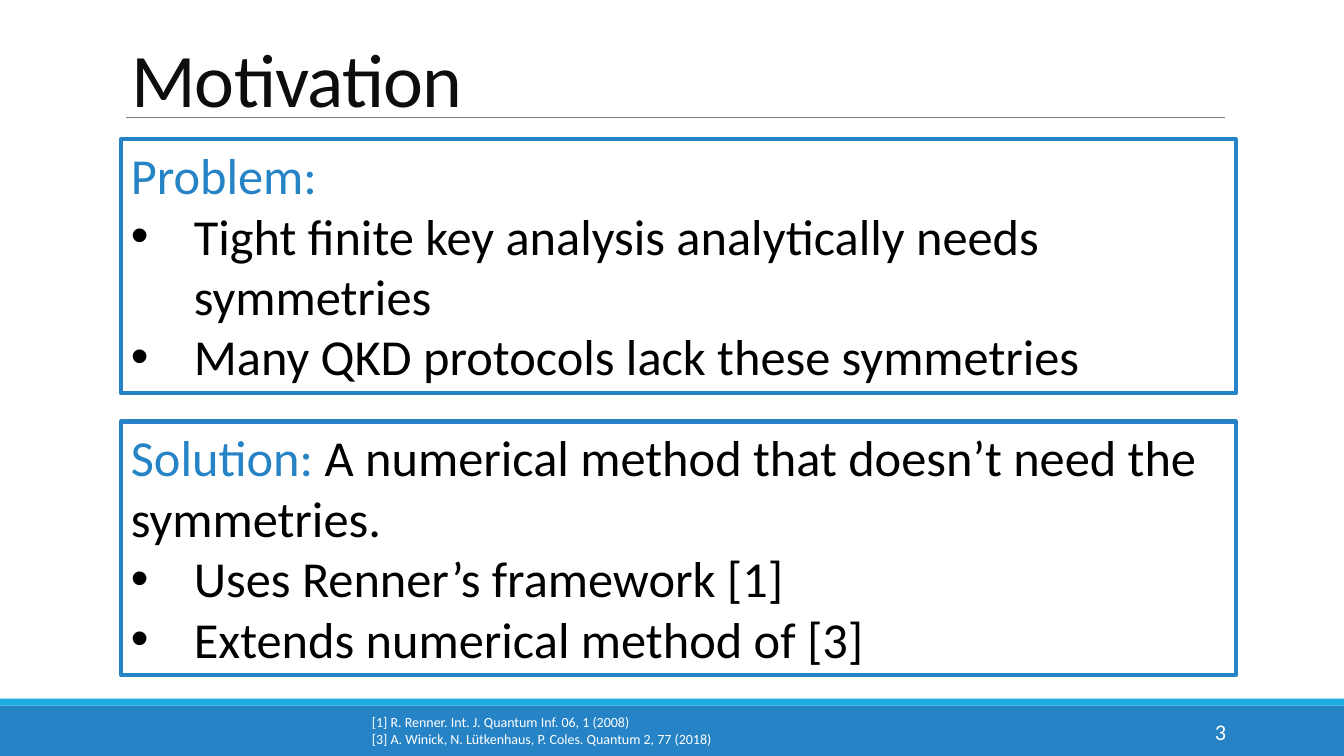
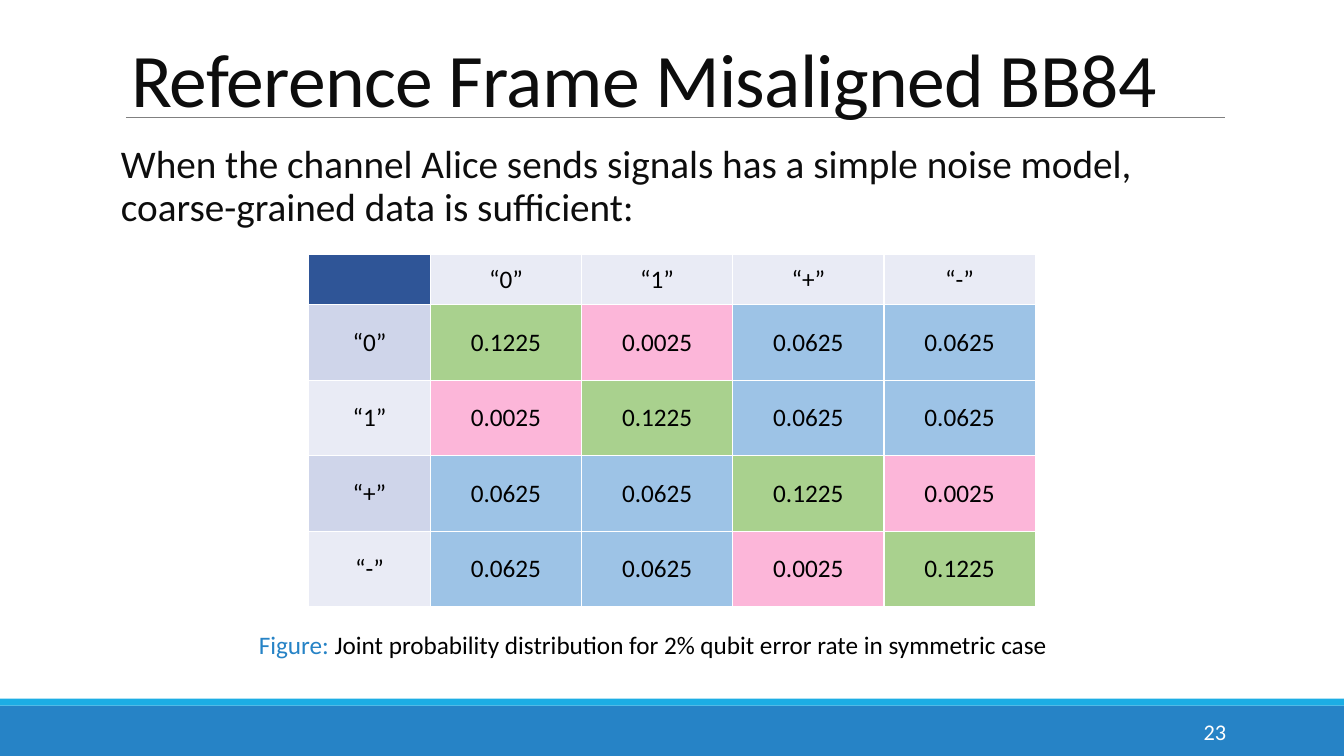
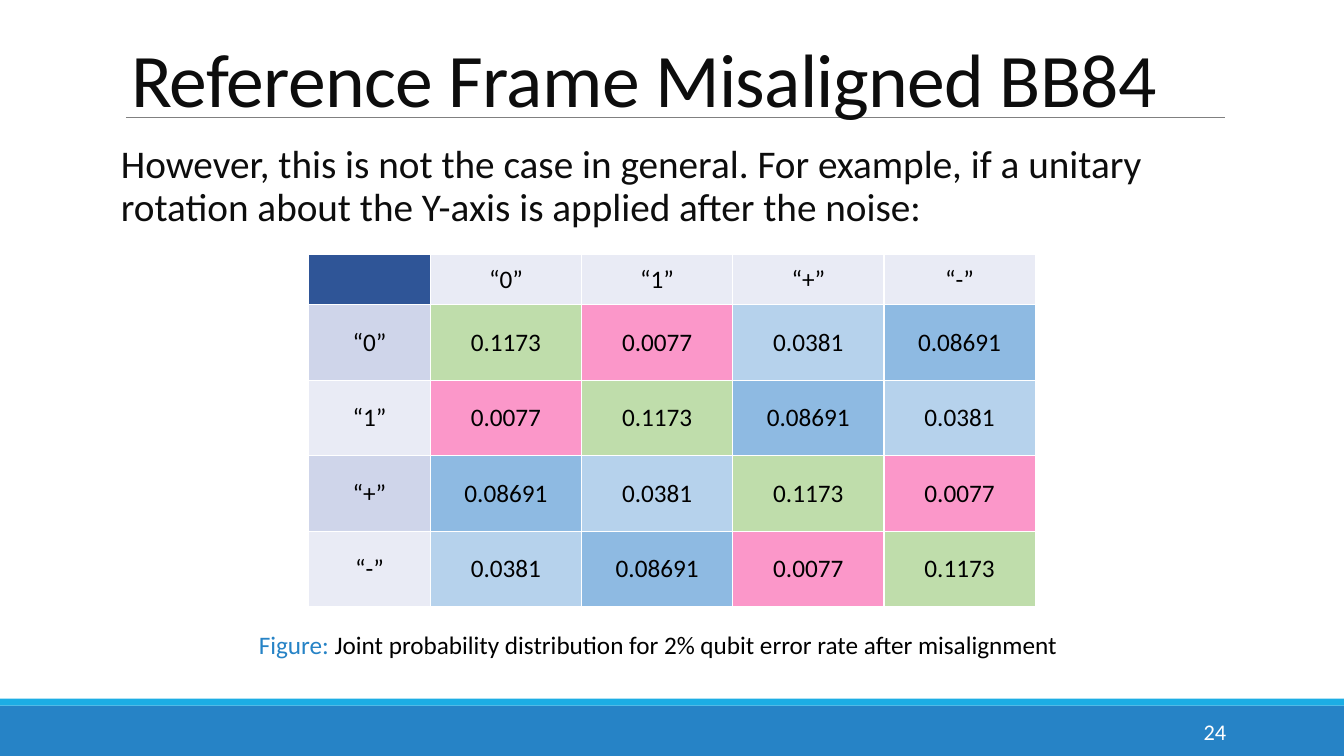
from lxml.etree import SubElement
from pptx import Presentation
from pptx.dml.color import RGBColor
from pptx.enum.shapes import MSO_CONNECTOR, MSO_SHAPE
from pptx.enum.text import MSO_ANCHOR, MSO_AUTO_SIZE, PP_ALIGN
from pptx.oxml import parse_xml
from pptx.oxml.ns import nsdecls, qn
from pptx.util import Pt

FONT = "Calibri"
BLUE = RGBColor(0x26, 0x83, 0xC6)
CYAN = RGBColor(0x1C, 0xAD, 0xE4)
GRAY = RGBColor(0x80, 0x80, 0x80)
INK = RGBColor(0x0D, 0x0D, 0x0D)
BLACK = RGBColor(0x00, 0x00, 0x00)
WHITE = RGBColor(0xFF, 0xFF, 0xFF)
CORNER = RGBColor(0x2F, 0x55, 0x97)
LABEL_LIGHT = RGBColor(0xE9, 0xEB, 0xF5)
LABEL_DARK = RGBColor(0xCF, 0xD5, 0xEA)
TINTS = {
    "0.1225": RGBColor(0xA9, 0xD1, 0x8E),
    "0.0025": RGBColor(0xFC, 0xB6, 0xD9),
    "0.0625": RGBColor(0x9D, 0xC3, 0xE6),
    "0.1173": RGBColor(0xBF, 0xDD, 0xAB),
    "0.0077": RGBColor(0xFB, 0x97, 0xC9),
    "0.0381": RGBColor(0xB6, 0xD2, 0xEC),
    "0.08691": RGBColor(0x8E, 0xBA, 0xE2),
}

LEFT = 86.4
STATES = ["“0”", "“1”", "“+”", "“-”"]
TITLE_PARA = {"alignment": PP_ALIGN.LEFT, "line_spacing": 0.85}
BODY_PARA = {"alignment": PP_ALIGN.LEFT, "line_spacing": 0.9,
             "space_before": Pt(0), "space_after": Pt(2)}
BODY_FRAME = {"margin_left": 0, "margin_right": 0, "word_wrap": True,
              "auto_size": MSO_AUTO_SIZE.NONE, "vertical_anchor": MSO_ANCHOR.TOP}
TITLE_FRAME = {"word_wrap": True, "auto_size": MSO_AUTO_SIZE.NONE,
               "vertical_anchor": MSO_ANCHOR.BOTTOM}


def add_spans(para, size, spans, **layout):
    """Write (text, colour) spans and set the paragraph's layout."""
    for key, value in layout.items():
        setattr(para, key, value)
    for text, color in spans:
        span = para.add_run()
        span.text = text
        for key, value in {"name": FONT, "size": Pt(size), "bold": False}.items():
            setattr(span.font, key, value)
        span.font.color.rgb = color


def place(shape, left, top, width, height, **frame):
    """Set a shape's position and its text frame's attributes."""
    for key, value in zip(("left", "top", "width", "height"), (left, top, width, height)):
        setattr(shape, key, Pt(value))
    for key, value in frame.items():
        setattr(shape.text_frame, key, value)
    return shape


deck = Presentation()
deck.slide_width, deck.slide_height = Pt(960), Pt(540)

# Pages with title and number
pages = []
for title, number, layout_index in [
    ("Motivation", "3", 5),
    ("Reference Frame Misaligned BB84", "23", 1),
    ("Reference Frame Misaligned BB84", "24", 1),
]:
    page = deck.slides.add_slide(deck.slide_layouts[layout_index])
    pages.append(page)
    heading = place(page.shapes.title, LEFT, 25.2, 792, 66.2, **TITLE_FRAME)
    para = heading.text_frame.paragraphs[0]
    add_spans(para, 54, [(title, INK)], **TITLE_PARA)
    para.runs[0]._r.get_or_add_rPr().set("spc", "-50")

    box = page.shapes.add_textbox(0, 0, 0, 0)
    place(box, 780, 508.3, 103, 28.8, word_wrap=True, vertical_anchor=MSO_ANCHOR.MIDDLE)
    add_spans(box.text_frame.paragraphs[0], 16, [(number, WHITE)], alignment=PP_ALIGN.RIGHT)

# Bands and title rule, moved to the slide master
shapes = pages[0].shapes
decor = []
for top, height, color in [(504, 36, BLUE), (499, 5, CYAN)]:
    band = shapes.add_shape(MSO_SHAPE.RECTANGLE, 0, Pt(top), deck.slide_width, Pt(height))
    band.shadow.inherit = False
    band.fill.solid()
    band.fill.fore_color.rgb = color
    band.line.fill.background()
    decor.append(band)
rule = shapes.add_connector(MSO_CONNECTOR.STRAIGHT, Pt(90), Pt(83.6), Pt(874.8), Pt(83.6))
rule.line.color.rgb = GRAY
rule.line.width = Pt(0.5)
SubElement(rule._element.spPr, qn("a:effectLst"))
decor.append(rule)
for index, shape in enumerate(decor):
    shape.element.xpath(".//p:cNvPr")[0].set("id", str(100 + index))
    deck.slide_master.shapes.element.insert(2 + index, shape.element)

# Motivation: framed problem and solution
for top, lead, bullets in [
    (99.4, [("Problem:", BLUE)],
     ["Tight finite key analysis analytically needs symmetries",
      "Many QKD protocols lack these symmetries"]),
    (301, [("Solution: ", BLUE),
           ("A numerical method that doesn’t need the symmetries.", BLACK)],
     ["Uses Renner’s framework [1]", "Extends numerical method of [3]"]),
]:
    box = shapes.add_shape(MSO_SHAPE.RECTANGLE, 0, 0, 0, 0)
    place(box, LEFT, top, 796.3, 181.4, word_wrap=True,
          vertical_anchor=MSO_ANCHOR.TOP, auto_size=MSO_AUTO_SIZE.SHAPE_TO_FIT_TEXT)
    box.shadow.inherit = False
    box.fill.background()
    box.line.color.rgb = BLUE
    box.line.width = Pt(3)
    add_spans(box.text_frame.paragraphs[0], 36, lead, alignment=PP_ALIGN.LEFT)
    for text in bullets:
        para = box.text_frame.add_paragraph()
        properties = para._p.get_or_add_pPr()
        properties.set("marL", str(Pt(45)))
        properties.set("indent", str(-Pt(45)))
        SubElement(properties, qn("a:buFont"), typeface="Arial")
        SubElement(properties, qn("a:buChar"), char="•")
        add_spans(para, 36, [(text, BLACK)], alignment=PP_ALIGN.LEFT)

# Motivation: references in the footer
box = place(shapes.add_textbox(0, 0, 0, 0), 258.5, 506.2, 514, 31.7, word_wrap=True)
frame = box.text_frame
add_spans(frame.paragraphs[0], 10,
          [("[1] R. Renner. Int. J. Quantum Inf. 06, 1 (2008)", WHITE)])
add_spans(frame.add_paragraph(), 10,
          [("[3] A. Winick, N. Lütkenhaus, P. Coles. Quantum 2, 77 (2018)", WHITE)])

# Misaligned BB84: statement, probability table, caption
for page, statement, rows, caption in [
    (pages[1],
     "When the channel Alice sends signals has a simple noise model, "
     "coarse-grained data is sufficient:",
     ["0.1225 0.0025 0.0625 0.0625",
      "0.0025 0.1225 0.0625 0.0625",
      "0.0625 0.0625 0.1225 0.0025",
      "0.0625 0.0625 0.0025 0.1225"],
     "Joint probability distribution for 2% qubit error rate in symmetric case"),
    (pages[2],
     "However, this is not the case in general. For example, if a unitary "
     "rotation about the Y-axis is applied after the noise:",
     ["0.1173 0.0077 0.0381 0.08691",
      "0.0077 0.1173 0.08691 0.0381",
      "0.08691 0.0381 0.1173 0.0077",
      "0.0381 0.08691 0.0077 0.1173"],
     "Joint probability distribution for 2% qubit error rate after misalignment"),
]:
    body = place(page.placeholders[1], LEFT, 100, 792, 72.7, **BODY_FRAME)
    para = body.text_frame.paragraphs[0]
    properties = para._p.get_or_add_pPr()
    properties.set("marL", "0")
    properties.set("indent", "0")
    SubElement(properties, qn("a:buNone"))
    add_spans(para, 28, [(statement, INK)], **BODY_PARA)

    grid = [["", *STATES]] + [[state, *row.split()] for state, row in zip(STATES, rows)]
    table = page.shapes.add_table(5, 5, Pt(220.4), Pt(181.6), Pt(519), Pt(252)).table
    for index in range(5):
        table.columns[index].width = Pt(108 if index else 87)
        table.rows[index].height = Pt(54 if index else 36)
    for row, texts in enumerate(grid):
        for column, text in enumerate(texts):
            cell = table.cell(row, column)
            cell.vertical_anchor = MSO_ANCHOR.MIDDLE
            if not text:
                color = CORNER
            else:
                color = TINTS.get(text, LABEL_DARK if row % 2 else LABEL_LIGHT)
                add_spans(cell.text_frame.paragraphs[0], 18, [(text, BLACK)],
                          alignment=PP_ALIGN.CENTER)
            cell.fill.solid()
            cell.fill.fore_color.rgb = color
            for index, side in enumerate("LRTB"):
                cell._tc.get_or_add_tcPr().insert(index, parse_xml(
                    f'<a:ln{side} {nsdecls("a")} w="{Pt(1)}"><a:solidFill>'
                    f'<a:srgbClr val="{WHITE}"/></a:solidFill></a:ln{side}>'))

    box = place(page.shapes.add_textbox(0, 0, 0, 0), 177.8, 445.7, 604, 29, word_wrap=True)
    add_spans(box.text_frame.paragraphs[0], 18, [("Figure: ", BLUE), (caption, BLACK)])

deck.save("out.pptx")
